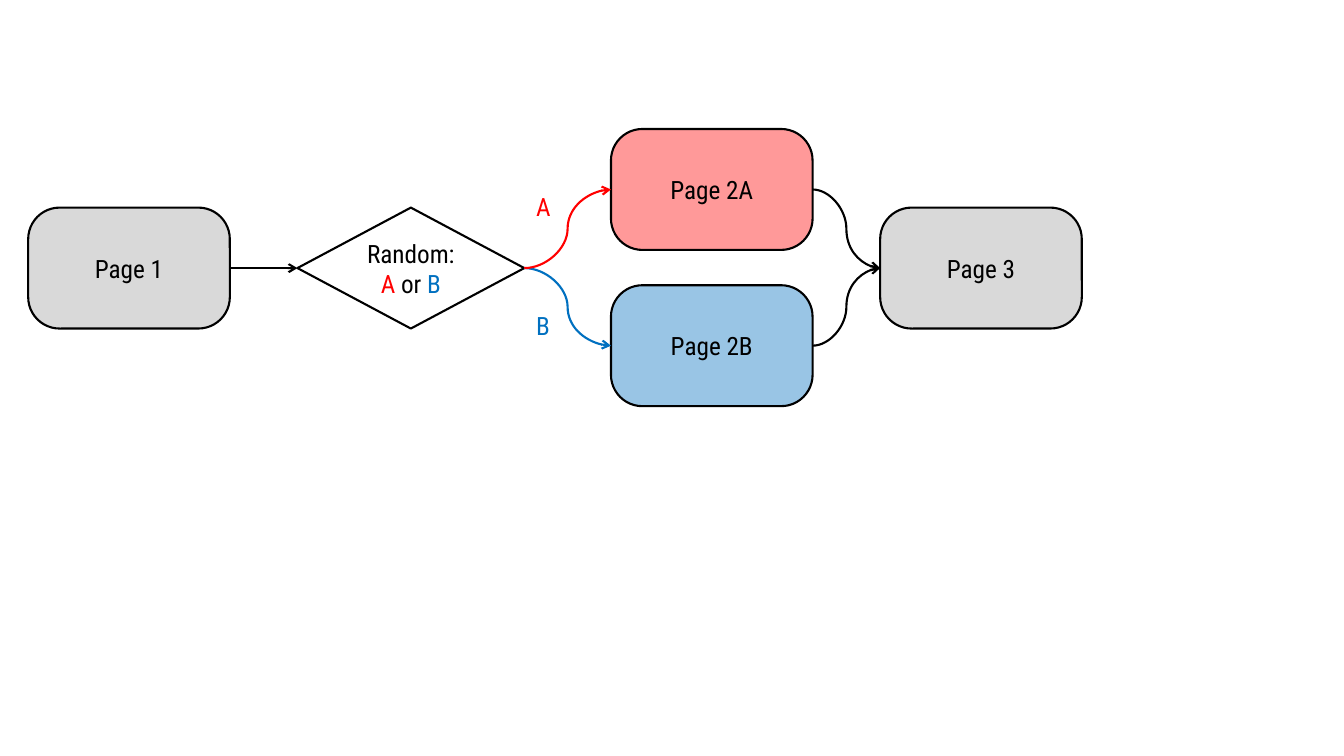
from pptx import Presentation
from pptx import util as u
from pptx.dml.color import RGBColor
from pptx.enum import shapes, text
from pptx.oxml import ns
from lxml import etree

PX = 9144
FONT = "Roboto Condensed"
BLACK = RGBColor(0, 0, 0)
GREY = RGBColor(0xD9, 0xD9, 0xD9)
RED = RGBColor(0xFF, 0, 0)
BLUE = RGBColor(0, 0x70, 0xC0)

PAGE_W, PAGE_H = 200, 120
MIDDLE_TOP, TOP_2A, TOP_2B = 206, 128, 283
LEFT, RIGHT = 1, 3


def px(*lengths):
    return [u.Emu(length * PX) for length in lengths]


def write_lines(frame, lines, align):
    frame.text = "\n".join("" for _ in lines)
    for paragraph, pieces in zip(frame.paragraphs, lines):
        paragraph.alignment = align
        for words, color in pieces:
            run = paragraph.add_run()
            run.text = words
            run.font.name = FONT
            run.font.size = u.Pt(18)
            run.font.color.rgb = color


def add_node(parent, preset, box, lines):
    node = parent.add_shape(preset, *px(*box))
    node.shadow.inherit = False
    node.line.color.rgb = BLACK
    node.line.width = u.Pt(1.5)
    node.text_frame.vertical_anchor = text.MSO_ANCHOR.MIDDLE
    write_lines(node.text_frame, lines, text.PP_ALIGN.CENTER)
    return node


def add_page(parent, name, left, top, color, opacity=100):
    page = add_node(parent, shapes.MSO_SHAPE.ROUNDED_RECTANGLE,
                    (left, top, PAGE_W, PAGE_H), [[(name, BLACK)]])
    page.adjustments[0] = 0.26
    page.fill.solid()
    page.fill.fore_color.rgb = color
    if opacity < 100:
        tint = page._element.spPr.find(ns.qn("a:solidFill"))[0]
        etree.SubElement(tint, ns.qn("a:alpha"), val=str(opacity * 1000))
    return page


def add_choice(parent, left, top):
    choice = add_node(parent, shapes.MSO_SHAPE.DIAMOND, (left, top, 225, PAGE_H),
                      [[("Random:", BLACK)],
                       [("A ", RED), ("or ", BLACK), ("B", BLUE)]])
    choice.fill.background()
    return choice


def add_arrow(parent, kind, source, target, color):
    arrow = parent.add_connector(kind, 0, 0, 0, 0)
    arrow.begin_connect(source, RIGHT)
    arrow.end_connect(target, LEFT)
    arrow.line.color.rgb = color
    arrow.line.width = u.Pt(1.5)
    properties = arrow._element.spPr
    etree.SubElement(properties.find(ns.qn("a:ln")), ns.qn("a:tailEnd"), type="arrow")
    etree.SubElement(properties, ns.qn("a:effectLst"))


def add_label(parent, letter, left, top, color):
    label = parent.add_textbox(*px(left, top, 34, 40))
    label.text_frame.word_wrap = False
    label.text_frame.auto_size = text.MSO_AUTO_SIZE.SHAPE_TO_FIT_TEXT
    write_lines(label.text_frame, [[(letter, color)]], text.PP_ALIGN.LEFT)


def main():
    deck = Presentation()
    deck.slide_width, deck.slide_height = px(1333, 750)
    flow = deck.slides.add_slide(deck.slide_layouts[6]).shapes

    page_1 = add_page(flow, "Page 1", 28, MIDDLE_TOP, GREY)
    variants = flow.add_group_shape().shapes
    page_2a = add_page(variants, "Page 2A", 606, TOP_2A, RED, 40)
    page_2b = add_page(variants, "Page 2B", 606, TOP_2B, BLUE, 40)
    page_3 = add_page(flow, "Page 3", 873, MIDDLE_TOP, GREY)
    choice = add_choice(flow, 295, MIDDLE_TOP)

    add_label(flow, "A", 522, 185, RED)
    add_label(flow, "B", 522, 303, BLUE)

    straight, curve = shapes.MSO_CONNECTOR.STRAIGHT, shapes.MSO_CONNECTOR.CURVE
    add_arrow(flow, straight, page_1, choice, BLACK)
    for page, color in ((page_2b, BLUE), (page_2a, RED)):
        add_arrow(flow, curve, choice, page, color)
        add_arrow(flow, curve, page, page_3, BLACK)

    deck.save("out.pptx")


if __name__ == "__main__":
    main()
